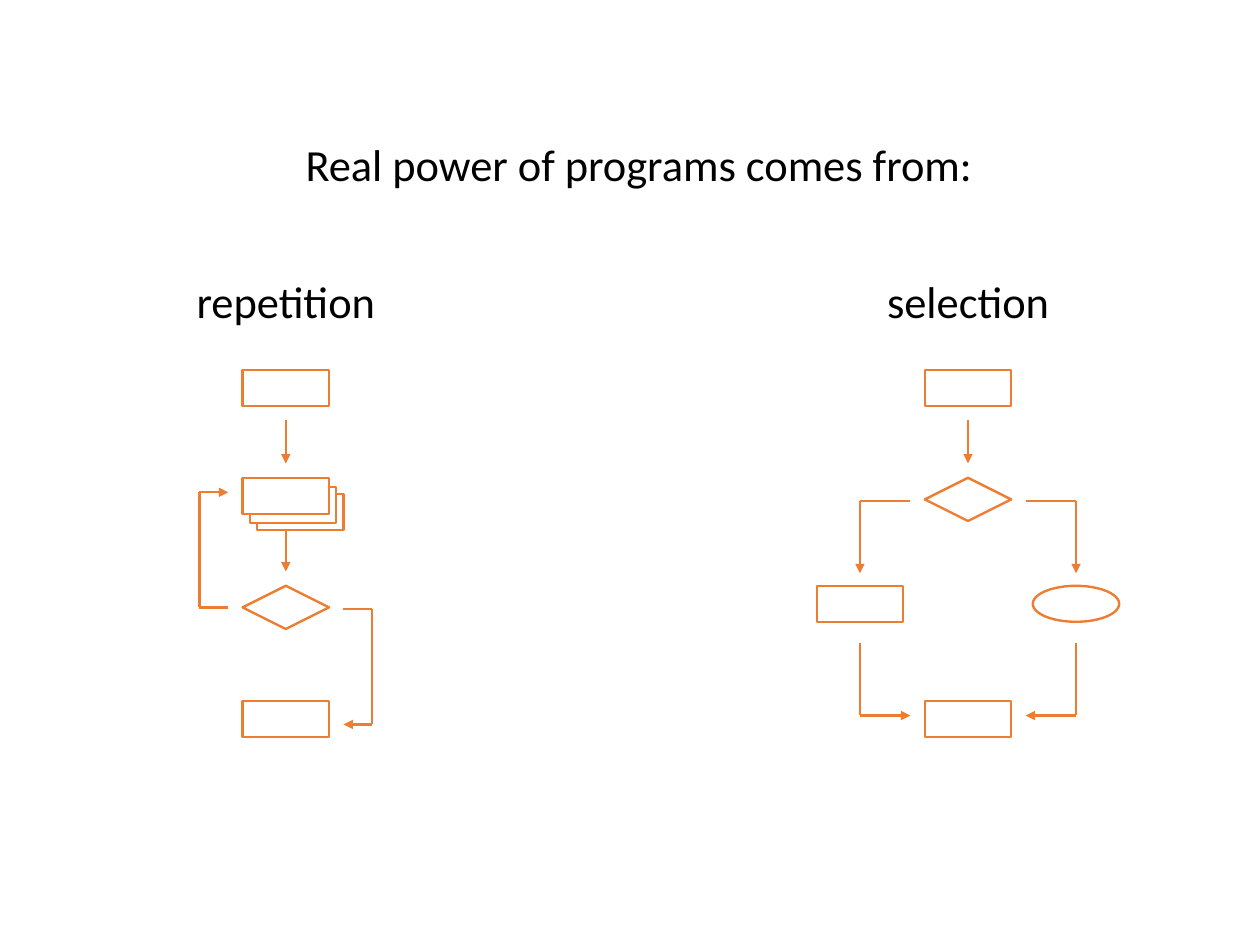
from dataclasses import dataclass

from lxml import etree
from pptx import Presentation
from pptx.dml.color import RGBColor
from pptx.enum.shapes import MSO_CONNECTOR, MSO_SHAPE
from pptx.enum.text import MSO_ANCHOR, MSO_AUTO_SIZE, PP_ALIGN
from pptx.oxml.ns import qn
from pptx.util import Cm, Pt

LINE = MSO_CONNECTOR.STRAIGHT
RECT, DIAMOND, OVAL = MSO_SHAPE.RECTANGLE, MSO_SHAPE.DIAMOND, MSO_SHAPE.OVAL
TOP, FIT, MID = MSO_ANCHOR.TOP, MSO_AUTO_SIZE.SHAPE_TO_FIT_TEXT, PP_ALIGN.CENTER

WIDTH, HEIGHT = Cm(28), Cm(21)
UNIT = WIDTH / 175  # one grid column or row
START = 51.37  # grid row where both charts begin
BOX_W, BOX_H, GEM_H = 12, 5, 6


@dataclass(frozen=True)
class Theme:
    font: str = "Calibri"
    size: Pt = Pt(28)
    ink: RGBColor = RGBColor(0, 0, 0)
    paper: RGBColor = RGBColor(255, 255, 255)
    accent: RGBColor = RGBColor(0xED, 0x7D, 0x31)
    stroke: Pt = Pt(1.5)


THEME = Theme()


def place(shape, left, top, width, height):
    """Set a shape's frame in columns and rows of the slide."""
    shape.left, shape.width = int(left * UNIT), int(width * UNIT)
    shape.top, shape.height = int(top * UNIT), int(height * UNIT)


def write(shape, text, wrap):
    frame = shape.text_frame
    frame.text = text
    frame.word_wrap = wrap
    frame.auto_size = FIT
    frame.vertical_anchor = TOP
    line = frame.paragraphs[0]
    line.alignment, line.line_spacing = MID, 1.5
    font = line.font
    font.name, font.size, font.color.rgb = THEME.font, THEME.size, THEME.ink


def label(slide, text, center, width):
    box = slide.shapes.add_textbox(0, 0, 0, 0)
    write(box, text, False)
    place(box, center - width / 2, 33.6, width, 11.6)


class Chart:
    """A grouped flow chart, with columns counted from its centre."""

    def __init__(self, slide, center):
        self.shapes = slide.shapes.add_group_shape().shapes
        self.center = center

    def spot(self, col, row):
        return int((self.center + col) * UNIT), int((START + row) * UNIT)

    def node(self, kind, col, row, filled=False):
        """Draw a node from its middle column and top row."""
        high = GEM_H if kind == DIAMOND else BOX_H
        shape = self.shapes.add_shape(
            kind, *self.spot(col - BOX_W / 2, row),
            int(BOX_W * UNIT), int(high * UNIT))
        shape.shadow.inherit = False
        if filled:
            shape.fill.solid()
            shape.fill.fore_color.rgb = THEME.paper
        else:
            shape.fill.background()
        shape.line.color.rgb, shape.line.width = THEME.accent, THEME.stroke

    def route(self, *stops):
        """Join the stops by lines, with an arrowhead at the last."""
        for begin, end in zip(stops, stops[1:]):
            line = self.shapes.add_connector(
                LINE, *self.spot(*begin), *self.spot(*end))
            line.line.color.rgb, line.line.width = THEME.accent, THEME.stroke
            props = line.element.spPr
            etree.SubElement(props, qn("a:effectLst"))
        etree.SubElement(props.find(qn("a:ln")), qn("a:tailEnd"), type="triangle")


def repetition(slide, center):
    chart = Chart(slide, center)
    chart.node(RECT, 0, 0)
    chart.route((0, 7), (0, 13))
    # Stack of repeated steps, back to front
    chart.route((0, 22), (0, 28))
    for col, row in ((2, 17.25), (1, 16.25), (0, 15)):
        chart.node(RECT, col, row, True)
    chart.node(DIAMOND, 0, 30)
    chart.node(RECT, 0, 46)
    # Way back, then way out
    chart.route((-8, 33), (-12, 33), (-12, 17), (-8, 17))
    chart.route((8, 33.25), (12, 33.25), (12, 49.25), (8, 49.25))


def selection(slide, center):
    chart = Chart(slide, center)
    chart.node(RECT, 0, 0, True)
    chart.route((0, 7), (0, 13))
    chart.node(DIAMOND, 0, 15)
    # Two mirrored branches
    for side, kind in ((-1, RECT), (1, OVAL)):
        near, far = side * 8, side * 15
        chart.route((near, 18.25), (far, 18.25), (far, 28.25))
        chart.node(kind, far, 30, kind == OVAL)
        chart.route((far, 38), (far, 48), (near, 48))
    chart.node(RECT, 0, 46)


def main():
    deck = Presentation()
    deck.slide_width = WIDTH
    deck.slide_height = HEIGHT
    slide = deck.slides.add_slide(deck.slide_layouts[5])

    # Title
    title = slide.shapes.title
    write(title, "Real power of programs comes from:", True)
    place(title, 16, 14.6, 145.4, 11.6)

    # Labelled charts
    for text, center, width, draw in (
            ("repetition", 39.7, 28.3, repetition),
            ("selection", 134.45, 26, selection)):
        label(slide, text, center, width)
        draw(slide, center)

    deck.save("out.pptx")


if __name__ == "__main__":
    main()
